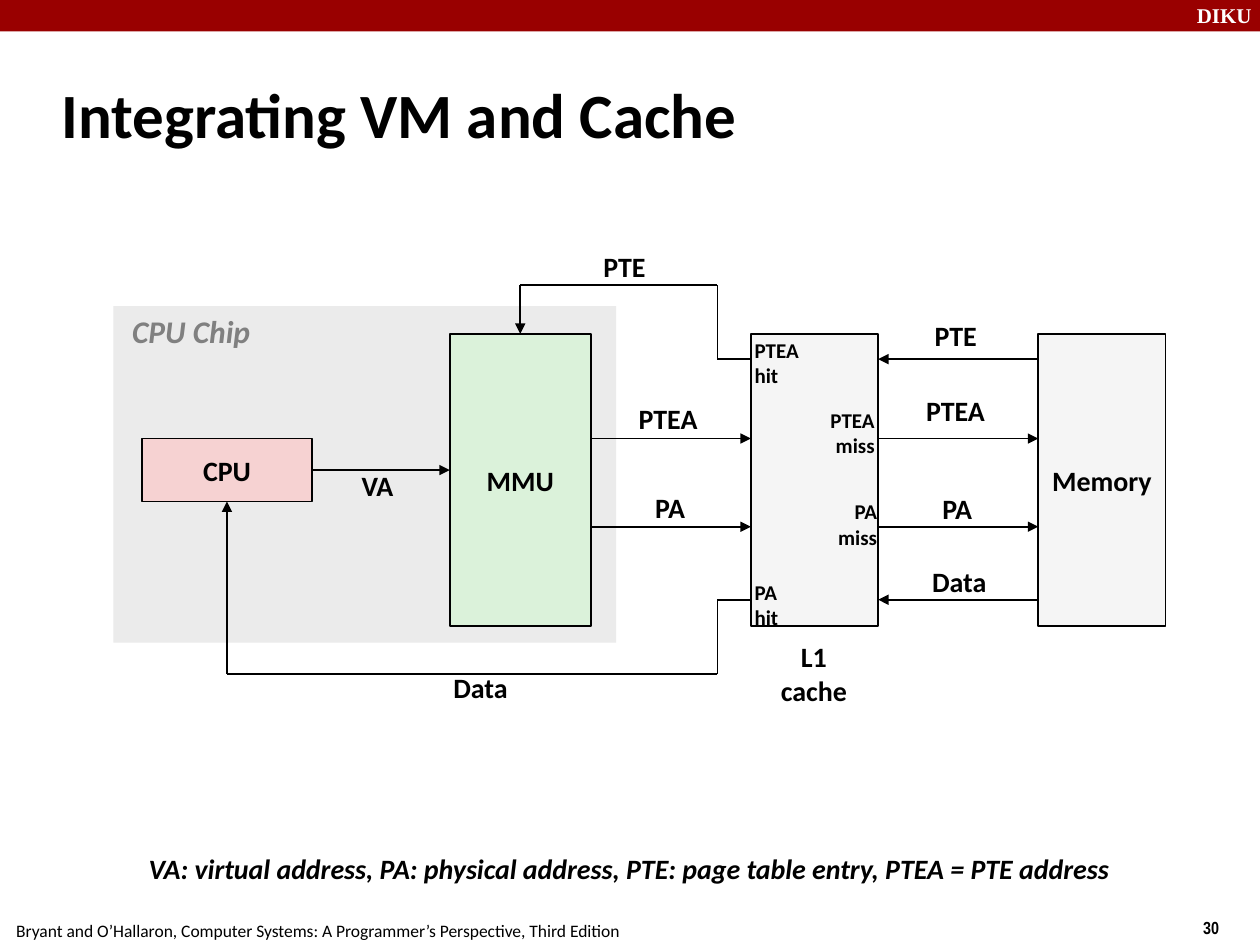
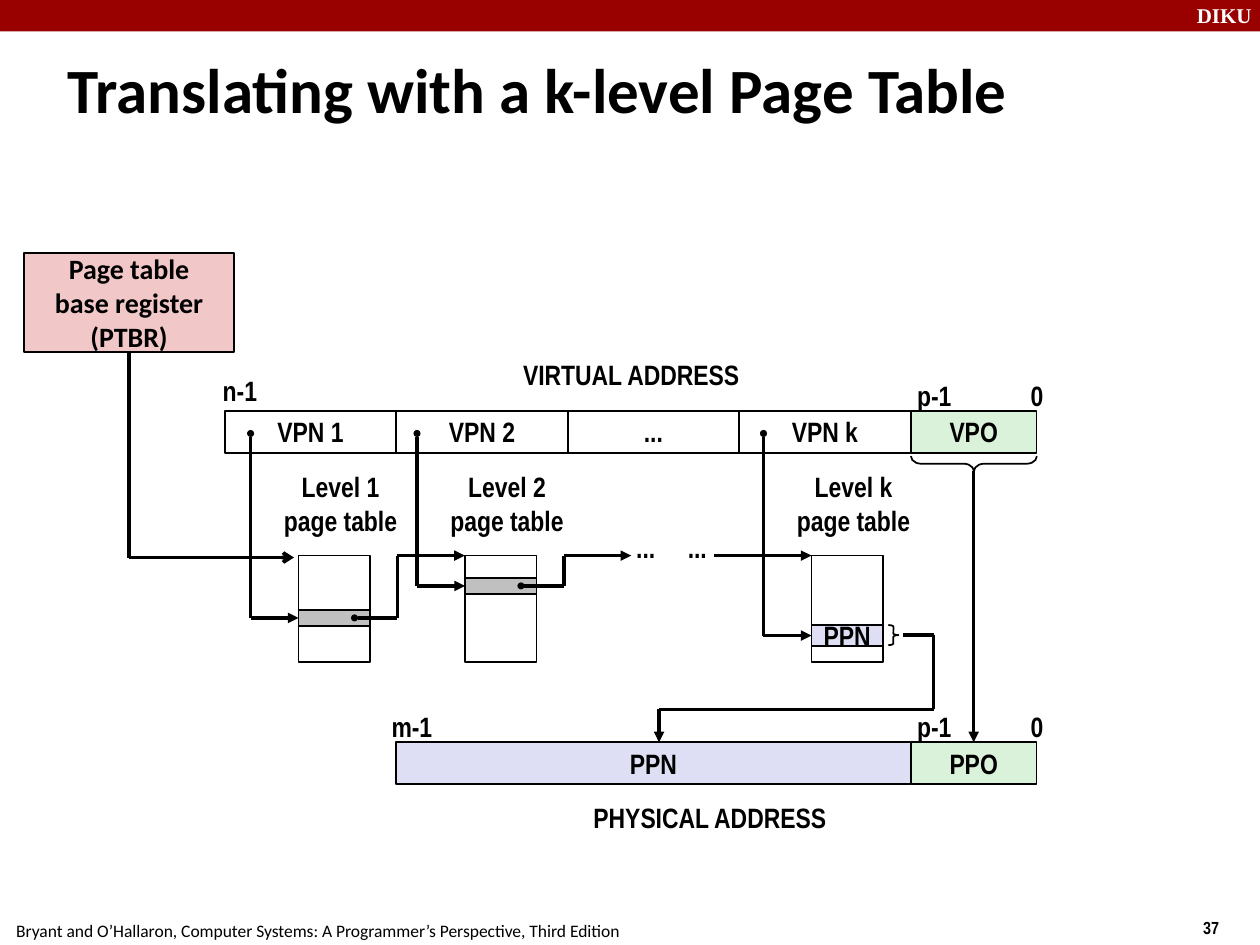
"""Build two lecture slides on address translation and page tables."""
from lxml import etree
from pptx import Presentation
from pptx.dml.color import RGBColor
from pptx.enum.shapes import MSO_CONNECTOR as CONN, MSO_SHAPE as SHAPE
from pptx.enum.text import MSO_ANCHOR as ANCHOR, PP_ALIGN as ALIGN
from pptx.oxml.ns import qn
from pptx.util import Pt

COLORS = {
    "band": "990000", "white": "FFFFFF", "ink": "000000", "muted": "808080",
    "chip": "EBEBEB", "cpu": "F6D2D2", "register": "F1C7C7", "green": "DBF2DA",
    "store": "F5F5F5", "entry": "C0C0C0", "ppn": "DEDFF5",
}
FOOTER = "Bryant and O’Hallaron, Computer Systems: A Programmer’s Perspective, Third Edition"
LOOSE, TIGHT = (7.2, 3.6), (5, 2.2)
TOP, LEFT, BOTTOM, RIGHT = 0, 1, 2, 3


def rgb(name):
    return RGBColor.from_string(COLORS[name])


def site(shape, side):
    x, y, w, h = (v.pt for v in (shape.left, shape.top, shape.width, shape.height))
    return [(x + w / 2, y), (x, y + h / 2), (x + w / 2, y + h), (x + w, y + h / 2)][side]


class Deck:
    """Holds the shared style and the slide being drawn."""

    def __init__(self):
        self.prs = Presentation()
        self.prs.slide_width, self.prs.slide_height = Pt(720), Pt(540)

    def new_slide(self, title, number, x, y, w, h, font):
        self.s = self.prs.slides.add_slide(self.prs.slide_layouts[6])
        self.font = font
        self.shape(0, 0, 720, 18, "band", line=None)
        self.text(676.8, -2.2, 48.2, 21.6, "DIKU", size=12, color="white",
                  font="Times New Roman", anchor=ANCHOR.TOP, wrap=True)
        self.text(680.4, 520.6, 54, 20.9, number, size=10, font="Arial Narrow",
                  anchor=ANCHOR.TOP)
        self.text(2.2, 522, 365, 19.4, FOOTER, size=10, font="Calibri",
                  bold=False, anchor=ANCHOR.TOP)
        self.text(x, y, w, h, title, size=36, font="Calibri", wrap=True)

    def fill_text(self, tf, text, size=16, color="ink", font=None, bold=True,
                  italic=False, align=ALIGN.LEFT, anchor=ANCHOR.MIDDLE,
                  wrap=False, inset=LOOSE, spacing=None):
        tf.word_wrap, tf.vertical_anchor = wrap, anchor
        tf.margin_left = tf.margin_right = Pt(inset[0])
        tf.margin_top = tf.margin_bottom = Pt(inset[1])
        for i, line in enumerate(text.split("\n")):
            p = tf.add_paragraph() if i else tf.paragraphs[0]
            p.alignment, p.line_spacing = align, spacing
            r = p.add_run()
            r.text = line
            r.font.name, r.font.size = font or self.font, Pt(size)
            r.font.bold, r.font.italic = bold, italic
            r.font.color.rgb = rgb(color)

    def text(self, x, y, w, h, text, **style):
        tb = self.s.shapes.add_textbox(Pt(x), Pt(y), Pt(w), Pt(h))
        self.fill_text(tb.text_frame, text, **style)

    def tight(self, x, y, w, text, **style):
        self.text(x, y, w, 23, text, inset=TIGHT, spacing=0.85,
                  anchor=ANCHOR.TOP, **style)

    def shape(self, x, y, w, h, fill=None, text="", line="ink", kind=SHAPE.RECTANGLE, **style):
        sp = self.s.shapes.add_shape(kind, Pt(x), Pt(y), Pt(w), Pt(h))
        sp.shadow.inherit = False
        if fill:
            sp.fill.solid()
            sp.fill.fore_color.rgb = rgb(fill)
        else:
            sp.fill.background()
        if line:
            sp.line.color.rgb, sp.line.width = rgb(line), Pt(1)
        else:
            sp.line.fill.background()
        if text:
            self.fill_text(sp.text_frame, text, align=ALIGN.CENTER, **style)
        return sp

    def brace(self, x, y, w, h, curl, rotation=0):
        sp = self.shape(x, y, w, h, kind=SHAPE.RIGHT_BRACE)
        sp.adjustments[0], sp.adjustments[1] = curl, 0.5
        sp.rotation = rotation

    def wire(self, *stops, width=1, dot=False, tail="triangle"):
        """Draw straight segments through points or (shape, side) pairs."""
        last = len(stops) - 2
        for i, (a, b) in enumerate(zip(stops, stops[1:])):
            ends = [stop if isinstance(stop[0], (int, float)) else site(*stop)
                    for stop in (a, b)]
            c = self.s.shapes.add_connector(CONN.STRAIGHT, *(Pt(v) for end in ends for v in end))
            c.line.color.rgb, c.line.width = rgb("ink"), Pt(width)
            if ends[0] is not a:
                c.begin_connect(*a)
            if ends[1] is not b:
                c.end_connect(*b)
            sp_pr = c.element.spPr
            ln = sp_pr.find(qn("a:ln"))
            if dot and i == 0:
                etree.SubElement(ln, qn("a:headEnd"), type="oval", w="sm", len="sm")
            if tail and i == last:
                etree.SubElement(ln, qn("a:tailEnd"), type=tail)
            etree.SubElement(sp_pr, qn("a:effectLst"))


def vm_and_cache(d):
    d.new_slide("Integrating VM and Cache", "30", 28.1, 34.6, 597.6, 59.8, "Calibri")
    d.shape(64.8, 175, 287.3, 192.2, "chip", line=None)
    top, height = 190.8, 167
    cpu = d.shape(81.2, 250.6, 97, 36, "cpu", "CPU")
    mmu = d.shape(257, top, 80.6, height, "green", "MMU")
    d.shape(429.1, top, 72.7, height, "store")
    d.shape(593.3, top, 72.7, height, "store", "Memory")

    mmu_right, cache_left, cache_right, memory_left = 337.6, 429.1, 501.8, 593.3
    pte_y, ptea_y, pa_y, data_y = 205.2, 250.6, 301, 342.7
    loop_x, loop_top, loop_bottom = 410, 163, 385.2
    d.wire((cpu, RIGHT), (257, 268.6))
    for y in (ptea_y, pa_y):
        d.wire((mmu_right, y), (cache_left, y))
        d.wire((cache_right, y), (memory_left, y))
    for y in (pte_y, data_y):
        d.wire((memory_left, y), (cache_right, y))
    for y, loop_y, target in ((pte_y, loop_top, (mmu, TOP)),
                              (data_y, loop_bottom, (cpu, BOTTOM))):
        d.wire((cache_left, y), (loop_x, y), (loop_x, loop_y),
               (site(*target)[0], loop_y), target)

    for x, y, w, text in ((201.6, 268.6, 34, "VA"), (360, 230.4, 50, "PTEA"),
                          (369.4, 280.8, 34, "PA"), (524.2, 225.4, 50, "PTEA")):
        d.tight(x, y, w, text)
    for x, y, w, text in ((337.7, 139, 44, "PTE"), (252, 379.4, 50, "Data"),
                          (531.4, 277.2, 36, "PA"), (525.6, 319, 50, "Data"),
                          (527, 178.6, 44, "PTE")):
        d.text(x, y, w, 26.6, text)
    for x, y, w, text, align in ((424.1, 189.4, 46, "PTEA\nhit", ALIGN.LEFT),
                                 (460.9, 229, 46, "PTEA\nmiss", ALIGN.RIGHT),
                                 (462.3, 281.5, 46, "PA\nmiss", ALIGN.RIGHT),
                                 (424.1, 327.6, 46, "PA\nhit", ALIGN.LEFT)):
        d.text(x, y, w, 36, text, size=12, align=align)
    d.text(435.1, 362.2, 60, 45.4, "L1\ncache", align=ALIGN.CENTER)
    d.text(68.4, 175, 90, 28.8, "CPU Chip", size=18, color="muted",
           italic=True, anchor=ANCHOR.TOP)
    d.tight(79.9, 487.4, 580,
            "VA: virtual address, PA: physical address, PTE: page table entry, PTEA = PTE address",
            italic=True)


def k_level_table(d):
    d.new_slide("Translating with a k-level Page Table", "37",
                31.7, 19.4, 652.3, 61.9, "Arial Narrow")
    ptbr = d.shape(13.7, 144.4, 120.2, 56.8, "register",
                   "Page table\nbase register\n(PTBR)", font="Calibri", wrap=True)

    field_x, field_w, field_h, offset_w = 128.4, 98, 24, 72
    virtual_y, physical_y = 234.7, 424.2
    offset_x = field_x + 4 * field_w
    for i, text in enumerate(("VPN 1", "VPN 2", "...", "VPN k")):
        d.shape(field_x + i * field_w, virtual_y, field_w, field_h, text=text)
    d.shape(offset_x, virtual_y, offset_w, field_h, "green", "VPO")
    d.shape(field_x + field_w, physical_y, 3 * field_w, field_h, "ppn", "PPN")
    ppo = d.shape(offset_x, physical_y, offset_w, field_h, "green", "PPO")

    table_y, table_w, table_h = 317.5, 41, 61
    for level, x, entry_y, entry_h, fill, text in (
            ("1", 170.6, 348.6, 9, "entry", ""),
            ("2", 265.7, 330.3, 9, "entry", ""),
            ("k", 463.7, 357.2, 12, "ppn", "PPN")):
        d.shape(x, table_y, table_w, table_h)
        entry = d.shape(x, entry_y, table_w, entry_h, fill, text)
        mid_y = entry_y + entry_h / 2
        d.wire((x - 27.4, 247.7), (x - 27.4, mid_y), (entry, LEFT), width=2, dot=True)
        if level != "k":
            d.wire((x + 32, mid_y), (x + 56.5, mid_y), (x + 56.5, table_y),
                   (x + 95, table_y), width=2, dot=True)
        d.text(x - 18, 265, 84, 45.4, f"Level {level}\npage table", align=ALIGN.CENTER)

    ptbr_x = site(ptbr, BOTTOM)[0]
    d.wire((ptbr, BOTTOM), (ptbr_x, 318.6), (168, 318.6), width=2, tail="arrow")
    d.wire((408.2, table_y), (463.7, table_y), width=2)
    d.wire((offset_x + offset_w / 2, 269.3), (ppo, TOP), width=2)
    d.wire((516.2, 363), (533.5, 363), (533.5, 405.4), (376.6, 405.4),
           (376.6, physical_y), width=2)

    labels = [(117.1, 209.5, 40, "n-1"), (213.4, 401.8, 44, "m-1"),
              (285.7, 200.9, 150, "VIRTUAL ADDRESS"),
              (325.7, 453.6, 160, "PHYSICAL ADDRESS"),
              (354, 299.5, 30, "..."), (383.5, 299.5, 30, "...")]
    for y in (212.4, 401.8):
        labels += [(513.9, y, 40, "p-1"), (577.6, y, 30, "0")]
    for x, y, w, text in labels:
        d.text(x, y, w, 26.6, text, align=ALIGN.CENTER)
    d.brace(552.2, 229, 8.6, 72, 0.68, rotation=90)
    d.brace(507.6, 357.2, 5.8, 11.5, 0.16)


def main():
    d = Deck()
    vm_and_cache(d)
    k_level_table(d)
    d.prs.save("out.pptx")


if __name__ == "__main__":
    main()
